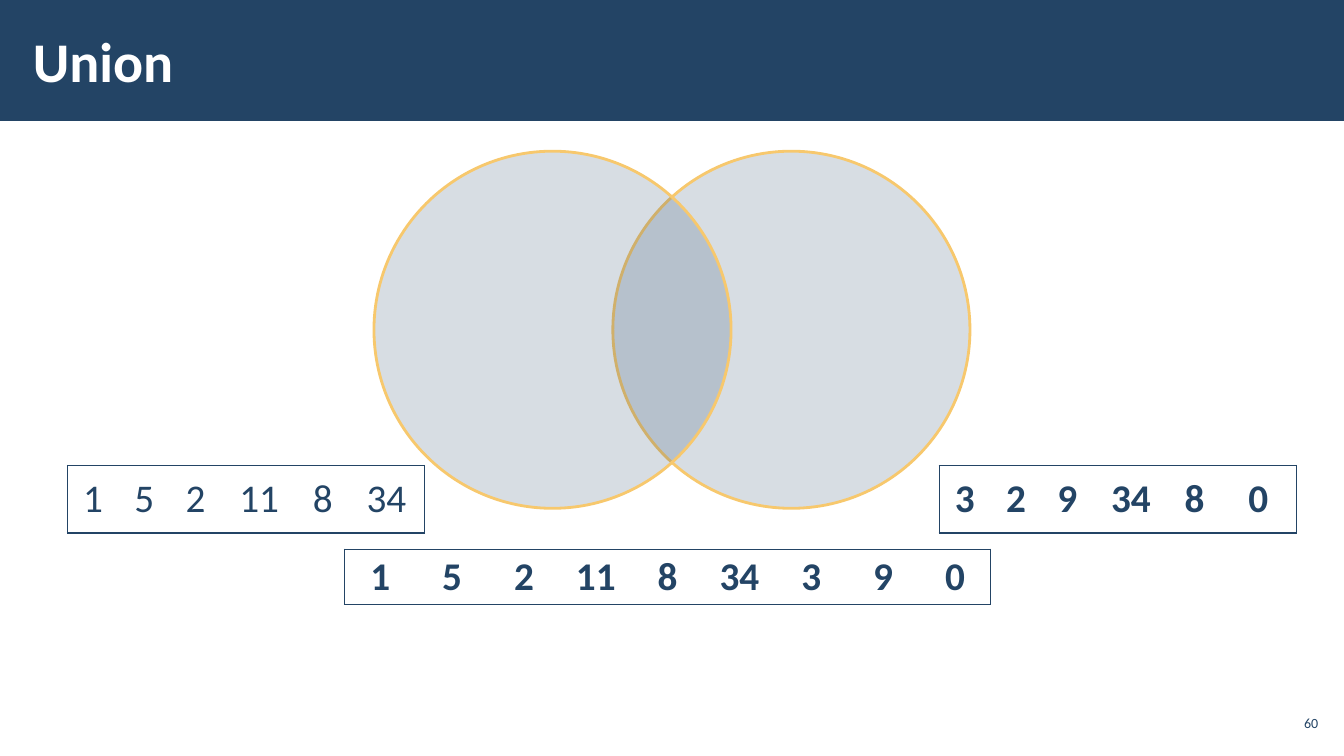
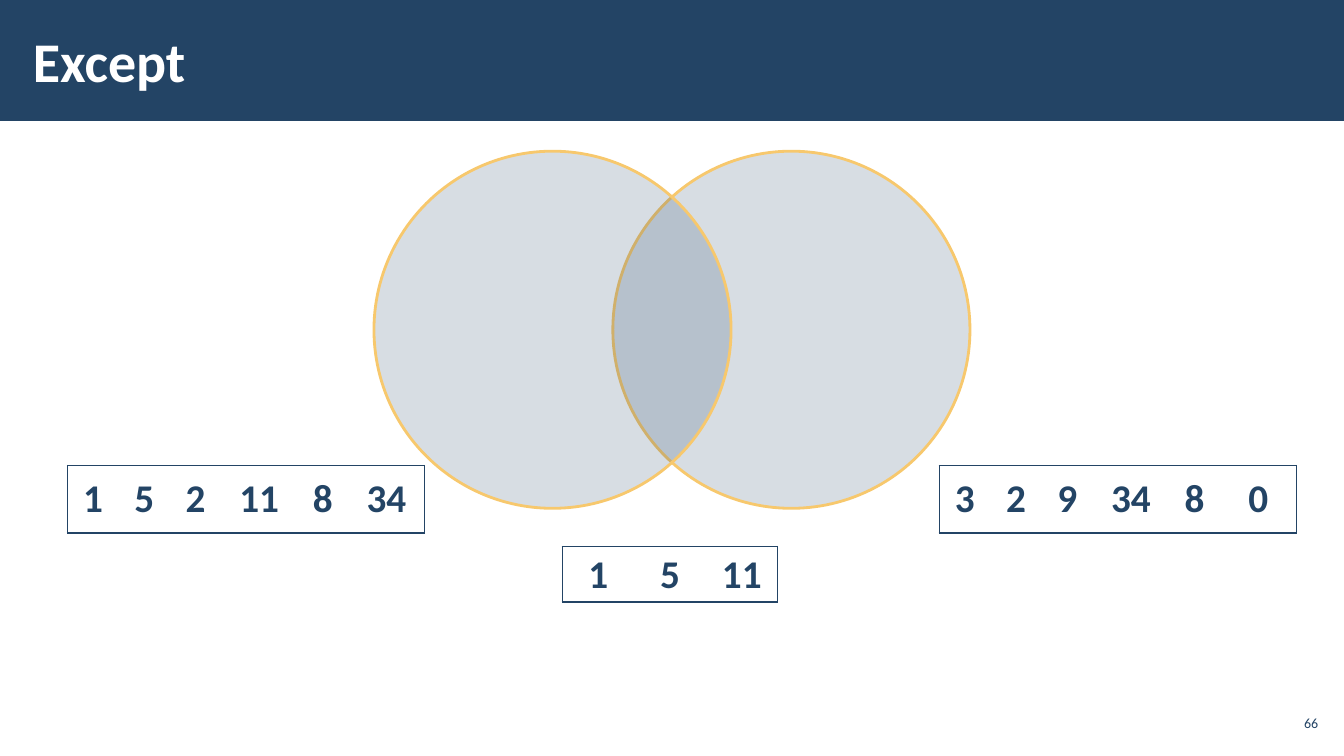
from dataclasses import dataclass

from pptx import Presentation
from pptx.dml.color import RGBColor
from pptx.enum.shapes import MSO_SHAPE
from pptx.enum.text import MSO_ANCHOR, PP_ALIGN
from pptx.oxml import parse_xml
from pptx.oxml.ns import nsdecls
from pptx.shapes.autoshape import Shape
from pptx.slide import Slide
from pptx.table import _Cell
from pptx.text.text import TextFrame
from pptx.util import Cm, Pt


@dataclass(frozen=True)
class Theme:
    """Colours, font and type sizes of the deck."""

    navy: str = "234465"
    gold: str = "F7C86D"
    white: str = "FFFFFF"
    font: str = "Calibri"
    title_size: int = 40
    number_size: int = 28
    footer_size: int = 10
    circle_opacity: int = 18


@dataclass(frozen=True)
class NumberRow:
    """A framed row of numbers; lengths are centimetres."""

    values: tuple[int, ...]
    left: float
    top: float
    height: float
    widths: tuple[float, ...]
    bold: bool = True


@dataclass(frozen=True)
class SetSlide:
    """One set operation with its two operands and result."""

    title: str
    page: int
    rows: tuple[NumberRow, ...]


THEME = Theme()
SLIDE_WIDTH, SLIDE_HEIGHT = 33.87, 19.05
BAND_HEIGHT = 3.05
CIRCLE_SIZE, CIRCLE_TOP, CIRCLE_SHIFT = 9, 3.81, 3.01
NARROW, WIDE, RESULT_CELL = 1.29, 1.92, 1.81
NO_STYLE = "{2D5ABB26-0587-4C30-8999-92F81FD0307C}"


def first_set(bold: bool) -> NumberRow:
    """Return the left operand row."""
    widths = (NARROW, NARROW, NARROW, WIDE, NARROW, WIDE)
    return NumberRow((1, 5, 2, 11, 8, 34), 1.7, 11.73, 1.7, widths, bold)


def second_set() -> NumberRow:
    """Return the right operand row."""
    widths = (NARROW, NARROW, NARROW, WIDE, NARROW, WIDE)
    return NumberRow((3, 2, 9, 34, 8, 0), 23.67, 11.73, 1.7, widths)


def result_set(values: tuple[int, ...], left: float, top: float) -> NumberRow:
    """Return a result row of equal cells."""
    return NumberRow(values, left, top, 1.4, (RESULT_CELL,) * len(values))


SLIDES = (
    SetSlide("Union", 60, (first_set(False), second_set(),
                           result_set((1, 5, 2, 11, 8, 34, 3, 9, 0), 8.68, 13.84))),
    SetSlide("Except", 66, (first_set(True), second_set(),
                            result_set((1, 5, 11), 14.17, 13.77))),
)


def write(frame: TextFrame, text: str, size: int, colour: str,
          alignment: PP_ALIGN, bold: bool = False) -> None:
    """Set and format a single paragraph."""
    frame.text = text
    paragraph = frame.paragraphs[0]
    paragraph.alignment = alignment
    font = paragraph.runs[0].font
    font.name, font.size, font.bold = THEME.font, Pt(size), bold
    font.color.rgb = RGBColor.from_string(colour)


def set_margins(target: TextFrame | _Cell, side: float, end: float) -> None:
    """Set the inner margins of a text frame or cell."""
    target.margin_left = target.margin_right = Cm(side)
    target.margin_top = target.margin_bottom = Cm(end)


def add_filled_shape(slide: Slide, kind: MSO_SHAPE, left: float, top: float,
                     width: float, height: float) -> Shape:
    """Add a navy shape without line or shadow."""
    shape = slide.shapes.add_shape(kind, Cm(left), Cm(top), Cm(width), Cm(height))
    shape.shadow.inherit = False
    shape.fill.solid()
    shape.fill.fore_color.rgb = RGBColor.from_string(THEME.navy)
    shape.line.fill.background()
    return shape


def move_band_to_layout(slide: Slide) -> None:
    """Draw the title band and place it at the back of the layout."""
    band = add_filled_shape(slide, MSO_SHAPE.RECTANGLE, 0, 0, SLIDE_WIDTH, BAND_HEIGHT)
    band.element.xpath("./p:nvSpPr/p:cNvPr")[0].set("id", "20")
    slide.slide_layout.shapes.element.insert(2, band.element)


def add_title(slide: Slide, text: str) -> None:
    """Place and format the title placeholder."""
    title = slide.shapes.title
    title.left, title.top, title.width, title.height = Cm(0.53), Cm(0.28), Cm(26.42), Cm(2.46)
    frame = title.text_frame
    frame.vertical_anchor = MSO_ANCHOR.MIDDLE
    set_margins(frame, 0.3, 0.1)
    write(frame, text, THEME.title_size, THEME.white, PP_ALIGN.LEFT, True)


def add_page_number(slide: Slide, page: int) -> None:
    """Add the page number at the lower right."""
    frame = slide.shapes.add_textbox(Cm(32.13), Cm(17.78), Cm(1.19), Cm(0.86)).text_frame
    frame.word_wrap = True
    frame.vertical_anchor = MSO_ANCHOR.MIDDLE
    set_margins(frame, 0.1, 0.1)
    write(frame, str(page), THEME.footer_size, THEME.navy, PP_ALIGN.RIGHT)


def add_circles(slide: Slide) -> None:
    """Add two overlapping translucent circles about the slide centre."""
    for shift in (CIRCLE_SHIFT, -CIRCLE_SHIFT):
        left = (SLIDE_WIDTH - CIRCLE_SIZE) / 2 + shift
        circle = add_filled_shape(slide, MSO_SHAPE.OVAL, left, CIRCLE_TOP,
                                  CIRCLE_SIZE, CIRCLE_SIZE)
        circle.line.color.rgb = RGBColor.from_string(THEME.gold)
        circle.line.width = Pt(2)
        colour = circle.element.xpath("./p:spPr/a:solidFill/a:srgbClr")[0]
        colour.append(parse_xml(
            f'<a:alpha {nsdecls("a")} val="{THEME.circle_opacity * 1000}"/>'))


def add_border(cell: _Cell, side: str) -> None:
    """Add a thin navy border to one side of a cell."""
    cell._tc.get_or_add_tcPr().append(parse_xml(
        f'<a:ln{side} {nsdecls("a")} w="{Pt(1)}"><a:solidFill>'
        f'<a:srgbClr val="{THEME.navy}"/></a:solidFill></a:ln{side}>'))


def add_number_row(slide: Slide, row: NumberRow) -> None:
    """Add a one-row table framed on the outside."""
    count = len(row.values)
    table_frame = slide.shapes.add_table(1, count, Cm(row.left), Cm(row.top),
                                         Cm(sum(row.widths)), Cm(row.height))
    table = table_frame.table
    table.first_row = table.horz_banding = False
    table_frame.element.xpath(".//a:tableStyleId")[0].text = NO_STYLE
    for index, (value, width) in enumerate(zip(row.values, row.widths)):
        table.columns[index].width = Cm(width)
        cell = table.cell(0, index)
        cell.vertical_anchor = MSO_ANCHOR.MIDDLE
        set_margins(cell, 0.33, 0.13)
        write(cell.text_frame, str(value), THEME.number_size, THEME.navy,
              PP_ALIGN.CENTER, row.bold)
        cell.text_frame.paragraphs[0].line_spacing = 0.95
        sides = ("L" if index == 0 else "") + ("R" if index == count - 1 else "") + "TB"
        for side in sides:
            add_border(cell, side)
        cell.fill.background()


def main() -> None:
    """Build and save the presentation."""
    presentation = Presentation()
    presentation.slide_width, presentation.slide_height = Cm(SLIDE_WIDTH), Cm(SLIDE_HEIGHT)
    layout = presentation.slide_layouts.get_by_name("Title Only")
    for index, content in enumerate(SLIDES):
        slide = presentation.slides.add_slide(layout)
        if index == 0:
            move_band_to_layout(slide)
        add_title(slide, content.title)
        add_page_number(slide, content.page)
        add_circles(slide)
        for row in content.rows:
            add_number_row(slide, row)
    presentation.save("out.pptx")


if __name__ == "__main__":
    main()
